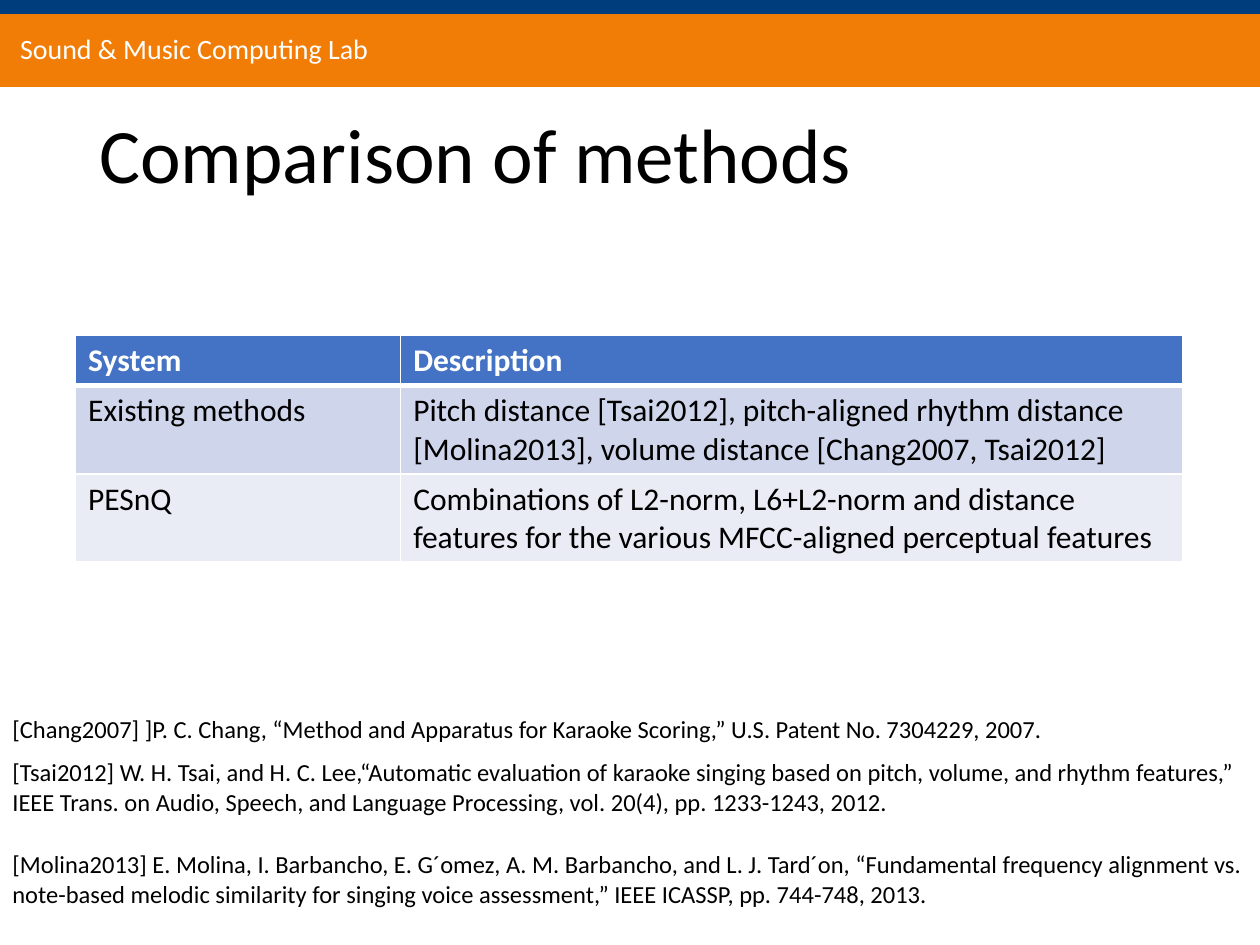
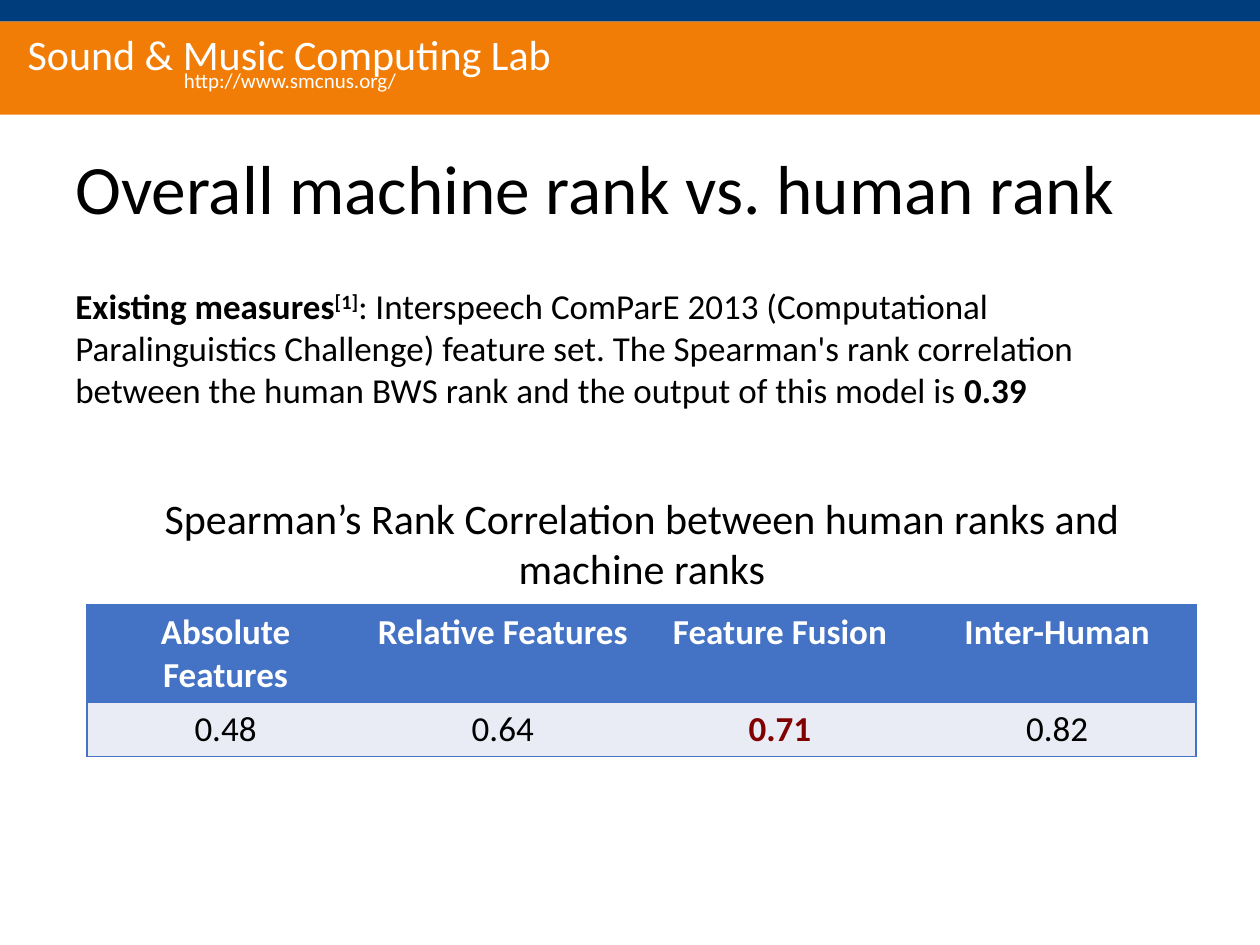
from lxml import etree
from pptx import Presentation
from pptx.dml.color import RGBColor
from pptx.enum.shapes import MSO_SHAPE as SHAPE
from pptx.enum.text import MSO_ANCHOR as ANCHOR, PP_ALIGN as ALIGN
from pptx.oxml.ns import qn
from pptx.util import Inches, Pt

FONT = "Calibri"
BLACK = RGBColor(0x00, 0x00, 0x00)
WHITE = RGBColor(0xFF, 0xFF, 0xFF)
NAVY = RGBColor(0x00, 0x3D, 0x7C)
ORANGE = RGBColor(0xF1, 0x7D, 0x07)
BLUE = RGBColor(0x44, 0x72, 0xC4)
BLUE_MID = RGBColor(0xCF, 0xD5, 0xEA)
BLUE_PALE = RGBColor(0xE9, 0xEB, 0xF5)
MAROON = RGBColor(0x80, 0x00, 0x00)

LAB = "Sound & Music Computing Lab"
SIDES = ("lnL", "lnR", "lnT", "lnB")


class Deck:
    """Holds the shared style and the slide being built."""

    def __init__(self):
        self.prs = Presentation()
        self.prs.slide_width, self.prs.slide_height = Inches(10), Inches(7.5)
        self.s = None

    def slide(self):
        self.s = self.prs.slides.add_slide(self.prs.slide_layouts[6])

    def style(self, r, size, color=BLACK, bold=False):
        r.font.name, r.font.size = FONT, Pt(size)
        r.font.color.rgb, r.font.bold = color, bold

    def rect(self, top, height, color):
        sp = self.s.shapes.add_shape(SHAPE.RECTANGLE, 0, Inches(top), Inches(10), Inches(height))
        sp.shadow.inherit = False
        sp.fill.solid()
        sp.fill.fore_color.rgb = color
        sp.line.fill.background()

    def text(self, box, runs, size, color=BLACK, align=ALIGN.LEFT, anchor=ANCHOR.TOP):
        """Add one paragraph; runs is a string or a list of (text, bold, superscript)."""
        tf = self.s.shapes.add_textbox(*map(Inches, box)).text_frame
        tf.word_wrap, tf.vertical_anchor = True, anchor
        p = tf.paragraphs[0]
        p.alignment = align
        if isinstance(runs, str):
            runs = [(runs, False, False)]
        for words, bold, raised in runs:
            r = p.add_run()
            r.text = words
            self.style(r, size, color, bold)
            if raised:
                r.font._element.set("baseline", "30000")
        return tf

    def title(self, box, words, size):
        tf = self.text(box, words, size, anchor=ANCHOR.MIDDLE)
        tf.paragraphs[0].line_spacing = 0.9

    def label(self, box, words, size):
        tf = self.text(box, words, size, WHITE, anchor=ANCHOR.MIDDLE)
        tf.word_wrap = False
        tf.margin_left = tf.margin_right = tf.margin_top = tf.margin_bottom = Inches(0.04)

    def header(self, split, bottom, lab_box, size):
        self.rect(split, bottom - split, ORANGE)
        self.rect(0, split, NAVY)
        self.label(lab_box, LAB, size)

    def borders(self, cell, lines):
        """Draw a cell's sides; lines maps a side to (colour, width), the rest are off."""
        tcPr = cell._tc.get_or_add_tcPr()
        for i, side in enumerate(SIDES):
            ln = etree.Element(qn("a:" + side))
            if side in lines:
                color, width = lines[side]
                ln.set("w", str(Pt(width)))
                fill = etree.SubElement(ln, qn("a:solidFill"))
                etree.SubElement(fill, qn("a:srgbClr"), val=str(color))
            else:
                etree.SubElement(ln, qn("a:noFill"))
            tcPr.insert(i, ln)

    def table(self, left, top, cols, heights, rows, fills, size, border_rule,
              align=ALIGN.LEFT, highlight=None):
        frame = self.s.shapes.add_table(len(rows), len(cols), Inches(left), Inches(top),
                                        Inches(sum(cols)), Inches(sum(heights)))
        table = frame.table
        for column, width in zip(table.columns, cols):
            column.width = Inches(width)
        for i, (row, height) in enumerate(zip(rows, heights)):
            table.rows[i].height = Inches(height)
            for j, words in enumerate(row):
                cell = table.cell(i, j)
                cell.fill.solid()
                cell.fill.fore_color.rgb = fills[i]
                cell.text_frame.text = words
                p = cell.text_frame.paragraphs[0]
                p.alignment = align
                marked = words == highlight
                color = WHITE if i == 0 else MAROON if marked else BLACK
                self.style(p.runs[0], size, color, i == 0 or marked)
                self.borders(cell, border_rule(i, j, len(cols)))


def white_grid(i, j, n_cols):
    """White lines all round, thicker below the heading row."""
    lines = {side: (WHITE, 1) for side in SIDES}
    if i == 0:
        lines["lnB"] = (WHITE, 3)
    elif i == 1:
        lines["lnT"] = (WHITE, 3)
    return lines


def blue_frame(i, j, n_cols):
    """Blue lines above and below each row and at the outer edges."""
    sides = ["lnT", "lnB"]
    if j == 0:
        sides.append("lnL")
    if j == n_cols - 1:
        sides.append("lnR")
    return {side: (BLUE, 1) for side in sides}


def comparison_slide(deck):
    deck.slide()
    deck.title((0.69, 0.53, 8.62, 1.45), "Comparison of methods", 44)

    # Methods table
    rows = [
        ("System", "Description"),
        ("Existing methods", "Pitch distance [Tsai2012], pitch-aligned rhythm distance "
         "[Molina2013], volume distance [Chang2007, Tsai2012]"),
        ("PESnQ", "Combinations of L2-norm, L6+L2-norm and distance features for the "
         "various MFCC-aligned perceptual features"),
    ]
    deck.table(0.6, 2.66, (2.58, 6.21), (0.4, 0.7, 0.7), rows,
               (BLUE, BLUE_MID, BLUE_PALE), 18, white_grid)

    # References
    references = [
        (5.62, 0.34, "[Chang2007] ]P. C. Chang, “Method and Apparatus for Karaoke Scoring,” "
         "U.S. Patent No. 7304229, 2007."),
        (5.96, 0.81, "[Tsai2012] W. H. Tsai, and H. C. Lee,“Automatic evaluation of karaoke "
         "singing based on pitch, volume, and rhythm features,” IEEE Trans. on Audio, Speech, "
         "and Language Processing, vol. 20(4), pp. 1233-1243, 2012."),
        (6.69, 0.81, "[Molina2013] E. Molina, I. Barbancho, E. G´omez, A. M. Barbancho, and "
         "L. J. Tard´on, “Fundamental frequency alignment vs. note-based melodic similarity "
         "for singing voice assessment,” IEEE ICASSP, pp. 744-748, 2013."),
    ]
    for top, height, words in references:
        deck.text((0, top, 10, height), words, 14)

    deck.header(0.11, 0.69, (0.12, 0.21, 2.87, 0.35), 16)


def rank_slide(deck):
    deck.slide()
    deck.title((0.5, 0.9, 9, 1.25), "Overall machine rank vs. human rank", 39.6)
    deck.header(0.17, 0.91, (0.18, 0.24, 4.27, 0.37), 24)
    deck.label((1.42, 0.53, 1.79, 0.21), "http://www.smcnus.org/", 12)

    # Earlier result
    deck.text((0.5, 2.21, 9, 1.11), [
        ("Existing measures", True, False),
        ("[1]", True, True),
        (": Interspeech ComParE 2013 (Computational Paralinguistics Challenge) feature set. "
         "The Spearman's rank correlation between the human BWS rank and the output of this "
         "model is ", False, False),
        ("0.39", True, False),
    ], 20)

    # Correlation table with its caption
    deck.text((0.69, 3.86, 8.81, 0.91),
              "Spearman’s Rank Correlation between human ranks and machine ranks",
              24, align=ALIGN.CENTER)
    rows = [
        ("Absolute Features", "Relative Features", "Feature Fusion", "Inter-Human"),
        ("0.48", "0.64", "0.71", "0.82"),
    ]
    deck.table(0.69, 4.8, (2.2,) * 4, (0.77, 0.43), rows, (BLUE, BLUE_PALE), 20,
               blue_frame, ALIGN.CENTER, highlight="0.71")


def main():
    deck = Deck()
    comparison_slide(deck)
    rank_slide(deck)
    deck.prs.save("out.pptx")


if __name__ == "__main__":
    main()
